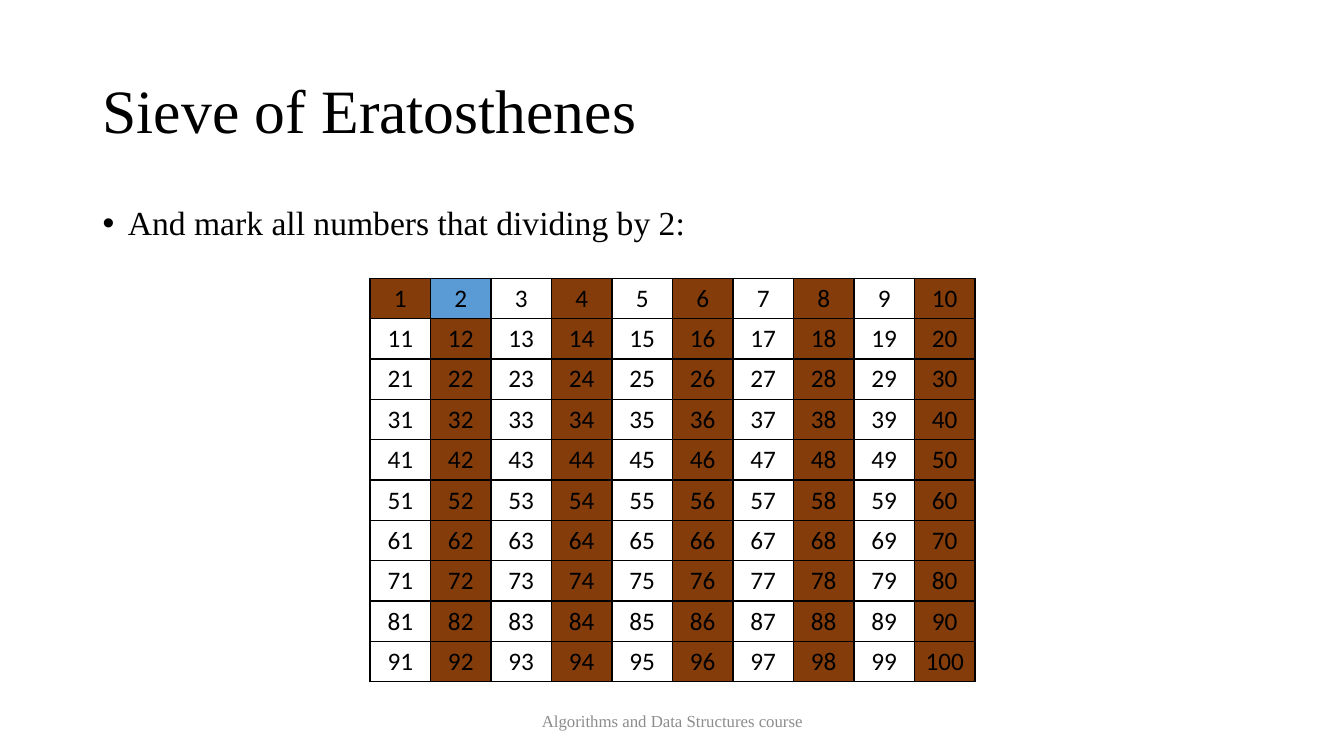
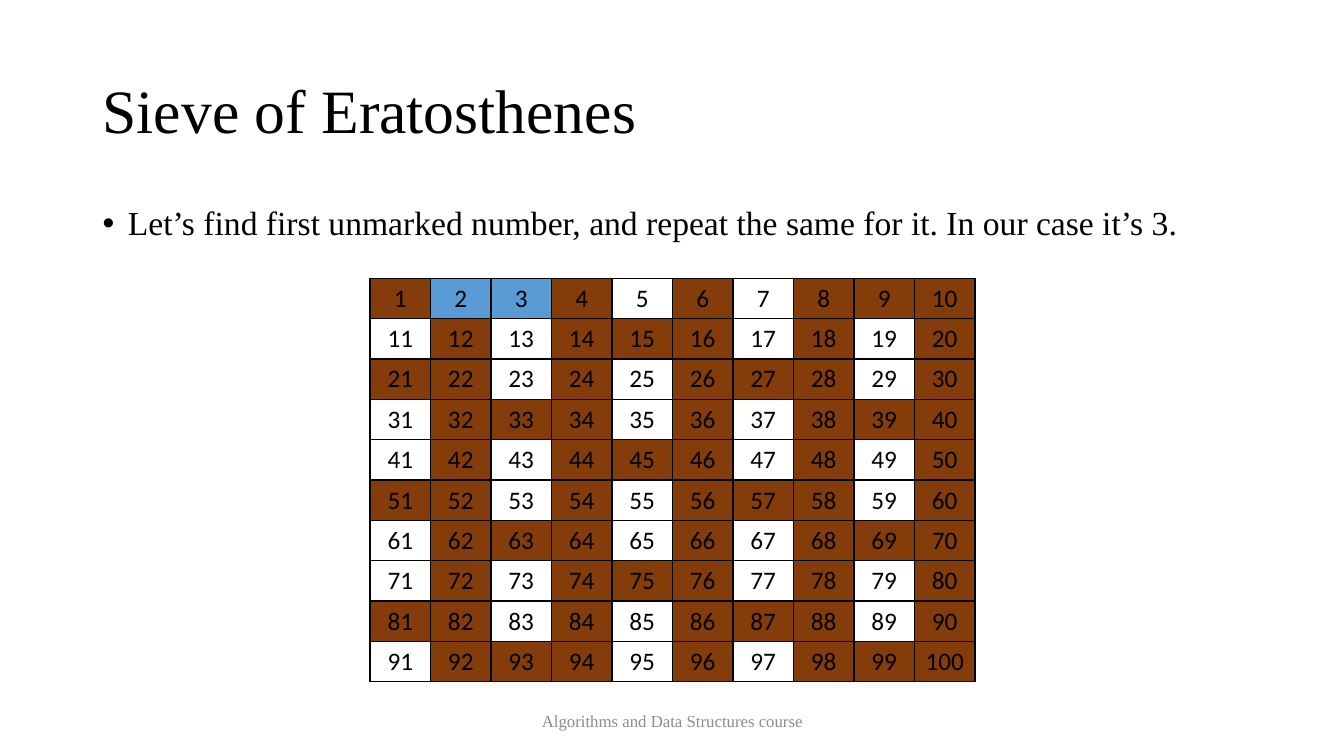
from lxml import etree
from pptx import Presentation
from pptx import util as u
from pptx.dml.color import RGBColor
from pptx.enum import text as t
from pptx.oxml import ns

# Content
TITLE = "Sieve of Eratosthenes"
FOOTER = "Algorithms and Data Structures course"
SLIDES = [
    {"text": "And mark all numbers that dividing by 2:", "primes": (2,)},
    {"text": "Let’s find first unmarked number, and repeat the same for it. "
             "In our case it’s 3.", "primes": (2, 3)},
]

# Shared look
COLORS = {"ink": "000000", "footer": "8C8C8C", "marked": "843C0B",
          "prime": "5B9BD5"}
SERIF, SANS = "Times New Roman", "Calibri"
STYLES = {
    "title": {"box": (0.92, 0.4, 11.5, 1.45), "anchor": t.MSO_ANCHOR.MIDDLE,
              "paragraph": {"line_spacing": 0.9},
              "font": (SERIF, 44, "ink")},
    "body": {"box": (0.92, 2, 11.5, 4.76), "anchor": t.MSO_ANCHOR.TOP,
             "paragraph": {"line_spacing": 0.9}, "bullet": 0.25,
             "font": (SERIF, 24, "ink")},
    "footer": {"box": (4.42, 6.95, 4.5, 0.4), "anchor": t.MSO_ANCHOR.MIDDLE,
               "paragraph": {"alignment": t.PP_ALIGN.CENTER},
               "font": (SERIF, 12, "footer")},
}
GRID = {"left": 3.67, "top": 2.76, "size": 10, "width": 0.6, "height": 0.4}
BORDER_WIDTH = u.Pt(1)


def set_font(paragraph, name, size, color):
    values = {"name": name, "size": u.Pt(size)}
    for attribute, value in values.items():
        setattr(paragraph.font, attribute, value)
    paragraph.font.color.rgb = RGBColor.from_string(COLORS[color])


def add_bullet(paragraph, indent):
    properties = paragraph._p.get_or_add_pPr()
    properties.set("marL", str(u.Inches(indent)))
    properties.set("indent", str(u.Inches(-indent)))
    etree.SubElement(properties, ns.qn("a:buFont"), typeface="Arial")
    etree.SubElement(properties, ns.qn("a:buChar"), char="•")


def add_text(slide, text, style):
    shape = slide.shapes.add_textbox(*map(u.Inches, style["box"]))
    frame = shape.text_frame
    frame.word_wrap = True
    frame.vertical_anchor = style["anchor"]
    paragraph = frame.paragraphs[0]
    paragraph.text = text
    for attribute, value in style["paragraph"].items():
        setattr(paragraph, attribute, value)
    if "bullet" in style:
        add_bullet(paragraph, style["bullet"])
    set_font(paragraph, *style["font"])


def add_borders(cell):
    properties = cell._tc.get_or_add_tcPr()
    for position, side in enumerate(("lnL", "lnR", "lnT", "lnB")):
        line = etree.Element(ns.qn(f"a:{side}"), w=str(BORDER_WIDTH))
        fill = etree.SubElement(line, ns.qn("a:solidFill"))
        etree.SubElement(fill, ns.qn("a:srgbClr"), val=COLORS["ink"])
        properties.insert(position, line)


def number_color(number, primes):
    if number in primes:
        return "prime"
    if number == 1 or any(number % prime == 0 for prime in primes):
        return "marked"
    return None


def fill_cell(cell, number, primes):
    cell.vertical_anchor = t.MSO_ANCHOR.MIDDLE
    paragraph = cell.text_frame.paragraphs[0]
    paragraph.text = str(number)
    paragraph.alignment = t.PP_ALIGN.CENTER
    set_font(paragraph, SANS, 18, "ink")
    color = number_color(number, primes)
    if color:
        cell.fill.solid()
        cell.fill.fore_color.rgb = RGBColor.from_string(COLORS[color])
    else:
        cell.fill.background()
    add_borders(cell)


def add_sieve(slide, primes):
    size = GRID["size"]
    box = (GRID["left"], GRID["top"],
           size * GRID["width"], size * GRID["height"])
    table = slide.shapes.add_table(size, size, *map(u.Inches, box)).table
    table.first_row = table.horz_banding = False
    for number, cell in enumerate(table.iter_cells(), start=1):
        fill_cell(cell, number, primes)


def main():
    presentation = Presentation()
    presentation.slide_width = u.Inches(13.33)
    presentation.slide_height = u.Inches(7.5)
    for content in SLIDES:
        slide = presentation.slides.add_slide(presentation.slide_layouts[6])
        add_text(slide, TITLE, STYLES["title"])
        add_text(slide, content["text"], STYLES["body"])
        add_text(slide, FOOTER, STYLES["footer"])
        add_sieve(slide, content["primes"])
    presentation.save("out.pptx")


if __name__ == "__main__":
    main()
